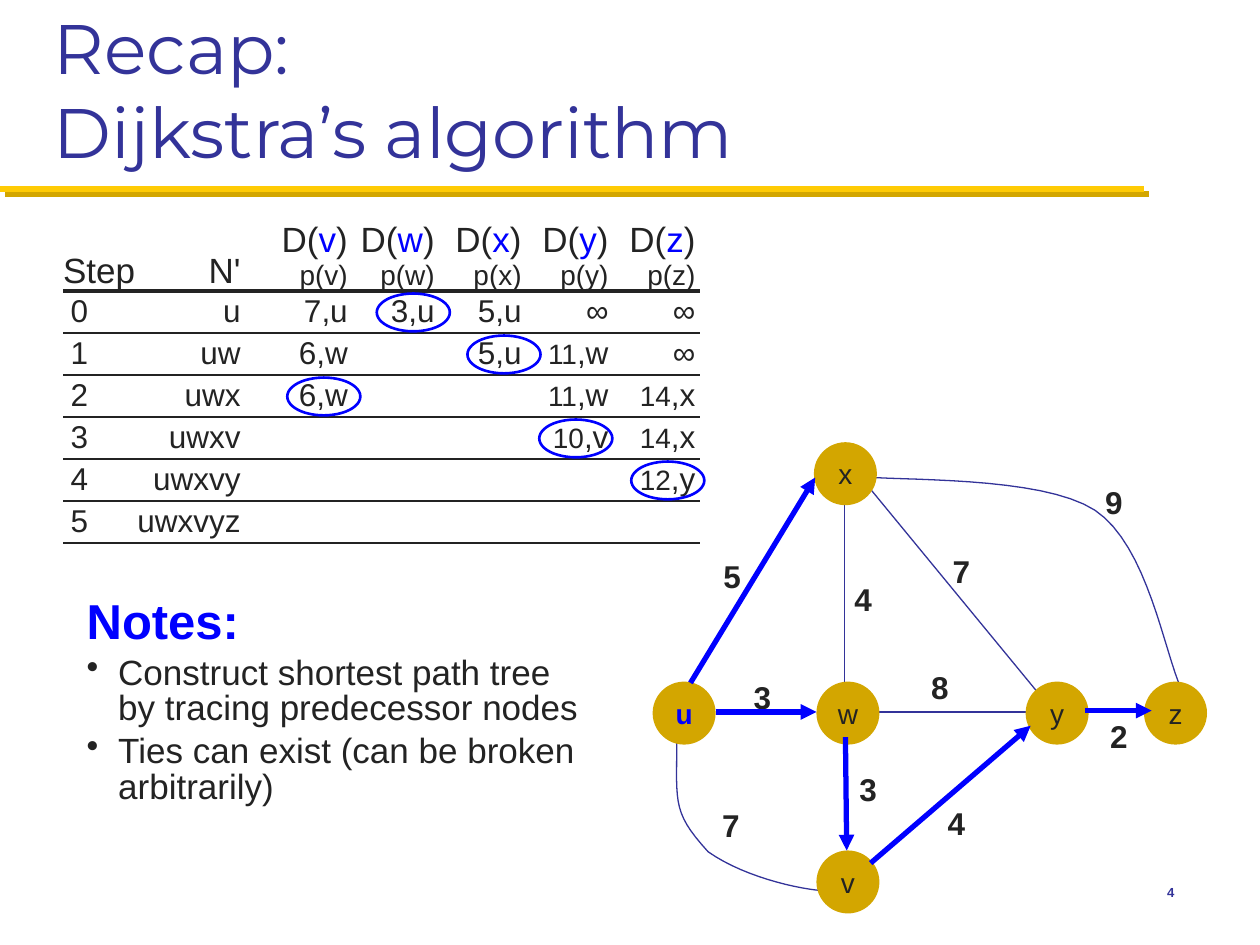
from dataclasses import dataclass
from lxml.etree import SubElement as Sub
from pptx import Presentation
from pptx.dml.color import RGBColor as RGB
from pptx.enum.shapes import MSO_CONNECTOR as Link, MSO_SHAPE as Shape
from pptx.enum.text import MSO_ANCHOR as Anchor, PP_ALIGN as Align
from pptx.oxml.ns import qn
from pptx.util import Inches, Pt


@dataclass
class Theme:
    ink: str = "232323"
    navy: str = "333399"
    blue: str = "0000FF"
    gold: str = "D3A600"
    yellow: str = "FFCB05"
    font: str = "Arial"
    title_font: str = "Montserrat"
    title: float = 40
    heading: float = 28
    body: float = 20
    label: float = 18
    small: float = 16
    number: float = 7.5


theme = Theme()
deck = Presentation()
deck.slide_width, deck.slide_height = Inches(10), Inches(7.5)
page = deck.slides.add_slide(deck.slide_layouts[6])
shapes = page.shapes

# The page is a grid of 10 columns by 7.5 rows
COL = deck.slide_width / 10
ROW = deck.slide_height / 7.5


def write(frame, lines, size=theme.label, color=theme.ink, bold=False, font=theme.font,
          align=Align.CENTER, anchor=Anchor.MIDDLE, wrap=True, inset=0):
    """Fill a frame; a line is a list of (text, format changes) spans."""
    frame.word_wrap, frame.vertical_anchor = wrap, anchor
    frame.margin_left = frame.margin_right = Inches(inset)
    frame.margin_top = frame.margin_bottom = Inches(inset / 2)
    for index, line in enumerate(lines):
        para = frame.paragraphs[0] if index == 0 else frame.add_paragraph()
        para.alignment = align
        for text, changes in line:
            look = {"size": size, "color": color, "bold": bold} | changes
            span = para.add_run()
            span.text = text
            span.font.name = font
            span.font.size = Pt(look["size"])
            span.font.bold = look["bold"]
            span.font.color.rgb = RGB.from_string(look["color"])


def connect(start, end, color, width, arrow=False):
    """Draw a straight line between two grid points, without a shadow."""
    line = shapes.add_connector(Link.STRAIGHT, int(start[0] * COL), int(start[1] * ROW),
                                int(end[0] * COL), int(end[1] * ROW))
    line.line.color.rgb = RGB.from_string(color)
    line.line.width = Pt(width)
    if arrow:
        Sub(line.line._get_or_add_ln(), qn("a:tailEnd"), type="triangle")
    return Sub(line._element.spPr, qn("a:effectLst"))


# Title and its rule, which casts a gold shadow
effects = connect((0, 1.5), (9.08, 1.5), theme.yellow, 3.5)
shadow = Sub(effects, qn("a:outerShdw"), dist=str(Pt(4.2)), dir="2700000", algn="ctr")
Sub(shadow, qn("a:srgbClr"), val=theme.gold)
box = shapes.add_textbox(int(0.33 * COL), int(0.17 * ROW), int(9.33 * COL), int(1.25 * ROW))
write(box.text_frame, [[("Recap:", {})], [("Dijkstra’s algorithm", {})]], size=theme.title,
      color=theme.navy, font=theme.title_font, align=Align.LEFT, anchor=Anchor.BOTTOM, inset=0.1)

# Table of steps
steps = [
    ("0", "u", "7,u", "3,u", "5,u", "∞", "∞"),
    ("1", "uw", "6,w", "", "5,u", "11,w", "∞"),
    ("2", "uwx", "6,w", "", "", "11,w", "14,x"),
    ("3", "uwxv", "", "", "", "10,v", "14,x"),
    ("4", "uwxvy", "", "", "", "", "12,y"),
    ("5", "uwxvyz", "", "", "", "", ""),
]
widths = [0.58, 0.87, 0.85] + [0.69] * 4
left, top, head_height, step_height = 0.5, 1.62, 0.69, 1 / 3
table_shape = shapes.add_table(len(steps) + 1, len(widths), int(left * COL), int(top * ROW),
                               int(sum(widths) * COL),
                               int((head_height + step_height * len(steps)) * ROW))
table = table_shape.table
table.first_row = table.horz_banding = False
NO_STYLE = "{2D5ABB26-0587-4C30-8999-92F81FD0307C}"
next(table_shape._element.iter(qn("a:tableStyleId"))).text = NO_STYLE
for column, width in zip(table.columns, widths):
    column.width = int(width * COL)
for index, row in enumerate(table.rows):
    row.height = int((step_height if index else head_height) * ROW)

head = [[[("Step", {})]], [[("N'", {})]]]
for node in "vwxyz":
    head.append([[("D(", {}), (node, {"color": theme.blue}), (")", {})],
                 [(f"p({node})", {"size": theme.small})]])
body = []
for step in steps:
    cells = []
    for text in step:
        number, comma, previous = text.partition(",")
        number_size = theme.small if comma and len(number) == 2 else theme.label
        cells.append([[(number, {"size": number_size}), (comma + previous, {})]
                      if comma else [(text, {})]])
    body.append(cells)

for r, cells in enumerate([head] + body):
    for c, lines in enumerate(cells):
        cell = table.cell(r, c)
        write(cell.text_frame, lines, size=theme.label if r else theme.body,
              align=Align.RIGHT if c else Align.LEFT)
        cell.vertical_anchor = Anchor.MIDDLE if r else Anchor.BOTTOM
        cell.margin_top = cell.margin_bottom = 0
        cell.margin_left = Inches(0 if c or not r else 0.06)
        cell.margin_right = Inches(0.04 if c else 0)
        cell.fill.background()
        properties = cell._tc.get_or_add_tcPr()
        border = Sub(properties, qn("a:lnB"), w=str(Pt(1 if r else 2.25)))
        Sub(Sub(border, qn("a:solidFill")), qn("a:srgbClr"), val=theme.ink)
        properties.insert(0, border)

# Rings around the chosen distance of each step
for index, ring_left in enumerate([2.99, 3.71, 2.28, 4.28, 5.01]):
    ring_top = top + head_height + step_height * index + 0.02
    ring = shapes.add_shape(Shape.OVAL, int(ring_left * COL), int(ring_top * ROW),
                            int(0.58 * COL), int(0.3 * ROW))
    ring.shadow.inherit = False
    ring.fill.background()
    ring.line.color.rgb = RGB.from_string(theme.blue)
    ring.line.width = Pt(1.5)

# Notes
box = shapes.add_textbox(int(0.59 * COL), int(4.71 * ROW), int(4.17 * COL), int(2.62 * ROW))
write(box.text_frame,
      [[("Notes:", {"size": theme.heading, "color": theme.blue, "bold": True})],
       [("Construct shortest path tree by tracing predecessor nodes", {})],
       [("Ties can exist (can be broken arbitrarily)", {})]],
      size=theme.body, align=Align.LEFT, anchor=Anchor.TOP, inset=0.1)
for index, para in enumerate(box.text_frame.paragraphs):
    para.line_spacing = 0.85
    para.space_before = Pt(4 if index else 5.6)
    if index:
        properties = para._p.get_or_add_pPr()
        properties.set("marL", str(Inches(0.25)))
        properties.set("indent", str(-Inches(0.25)))
        Sub(Sub(properties, qn("a:buClr")), qn("a:srgbClr"), val=theme.ink)
        Sub(properties, qn("a:buChar"), char="•")

# Graph: straight edges outside the shortest path tree
for start, end in [((6.7, 3.9), (6.7, 5.47)), ((6.8, 3.75), (8.33, 5.61)),
                   ((6.96, 5.65), (8.16, 5.65))]:
    connect(start, end, theme.navy, 0.75)

# Graph: curved edges, each a chain of cubic arcs
curves = [
    [(5.37, 5.77), (5.38, 6.36), (5.31, 6.42), (5.62, 6.76), (5.93, 6.98), (6.44, 7.08), (6.6, 7.07)],
    [(6.8, 3.78), (7.11, 3.82), (8.26, 3.77), (8.69, 4.05), (9.11, 4.33), (9.24, 5.18), (9.38, 5.48)],
]
PARTS = 16
for knots in curves:
    points = []
    for first in range(0, len(knots) - 1, 3):
        for part in range(1, PARTS + 1):
            t = part / PARTS
            weights = [(1 - t) ** 3, 3 * t * (1 - t) ** 2, 3 * t ** 2 * (1 - t), t ** 3]
            arc = list(zip(weights, knots[first:first + 4]))
            points.append((sum(w * x for w, (x, y) in arc) * COL,
                           sum(w * y for w, (x, y) in arc) * ROW))
    outline = shapes.build_freeform(int(knots[0][0] * COL), int(knots[0][1] * ROW))
    outline.add_line_segments([(int(x), int(y)) for x, y in points], close=False)
    curve = outline.convert_to_shape()
    curve.shadow.inherit = False
    curve.fill.background()
    curve.line.color.rgb = RGB.from_string(theme.navy)
    curve.line.width = Pt(0.75)

# Graph: nodes
nodes = {"x": (6.46, 3.51), "u": (5.18, 5.41), "z": (9.08, 5.41),
         "v": (6.48, 6.75), "y": (8.14, 5.41), "w": (6.48, 5.41)}
for name, (x, y) in nodes.items():
    node = shapes.add_shape(Shape.OVAL, int(x * COL), int(y * ROW), int(0.5 * COL), int(0.5 * ROW))
    node.shadow.inherit = False
    node.fill.solid()
    node.fill.fore_color.rgb = RGB.from_string(theme.gold)
    node.line.fill.background()
    source = name == "u"
    write(node.text_frame, [[(name, {})]], size=theme.small, bold=source,
          color=theme.blue if source else theme.ink, wrap=False)

# Graph: edge costs
for cost, x, y in [("3", 5.88, 5.33), ("4", 6.68, 4.55), ("5", 5.64, 4.37), ("3", 6.72, 6.06),
                   ("7", 5.63, 6.35), ("4", 7.42, 6.33), ("8", 7.29, 5.25), ("2", 8.71, 5.64),
                   ("7", 7.46, 4.33), ("9", 8.67, 3.78)]:
    box = shapes.add_textbox(int(x * COL), int(y * ROW), int(0.34 * COL), int(0.4 * ROW))
    write(box.text_frame, [[(cost, {})]], bold=True)

# Graph: shortest path tree
for start, end in [((8.61, 5.64), (9.14, 5.64)), ((6.91, 6.85), (8.18, 5.76)),
                   ((6.71, 5.85), (6.72, 6.75)), ((5.48, 5.42), (6.47, 3.79)),
                   ((5.68, 5.65), (6.48, 5.65))]:
    connect(start, end, theme.blue, 3, arrow=True)

# Page number
box = shapes.add_textbox(int(8.75 * COL), int(6.83 * ROW), int(0.67 * COL), int(0.5 * ROW))
write(box.text_frame, [[("4", {})]], size=theme.number, color=theme.navy, bold=True,
      align=Align.RIGHT, inset=0.1)

deck.save("out.pptx")
